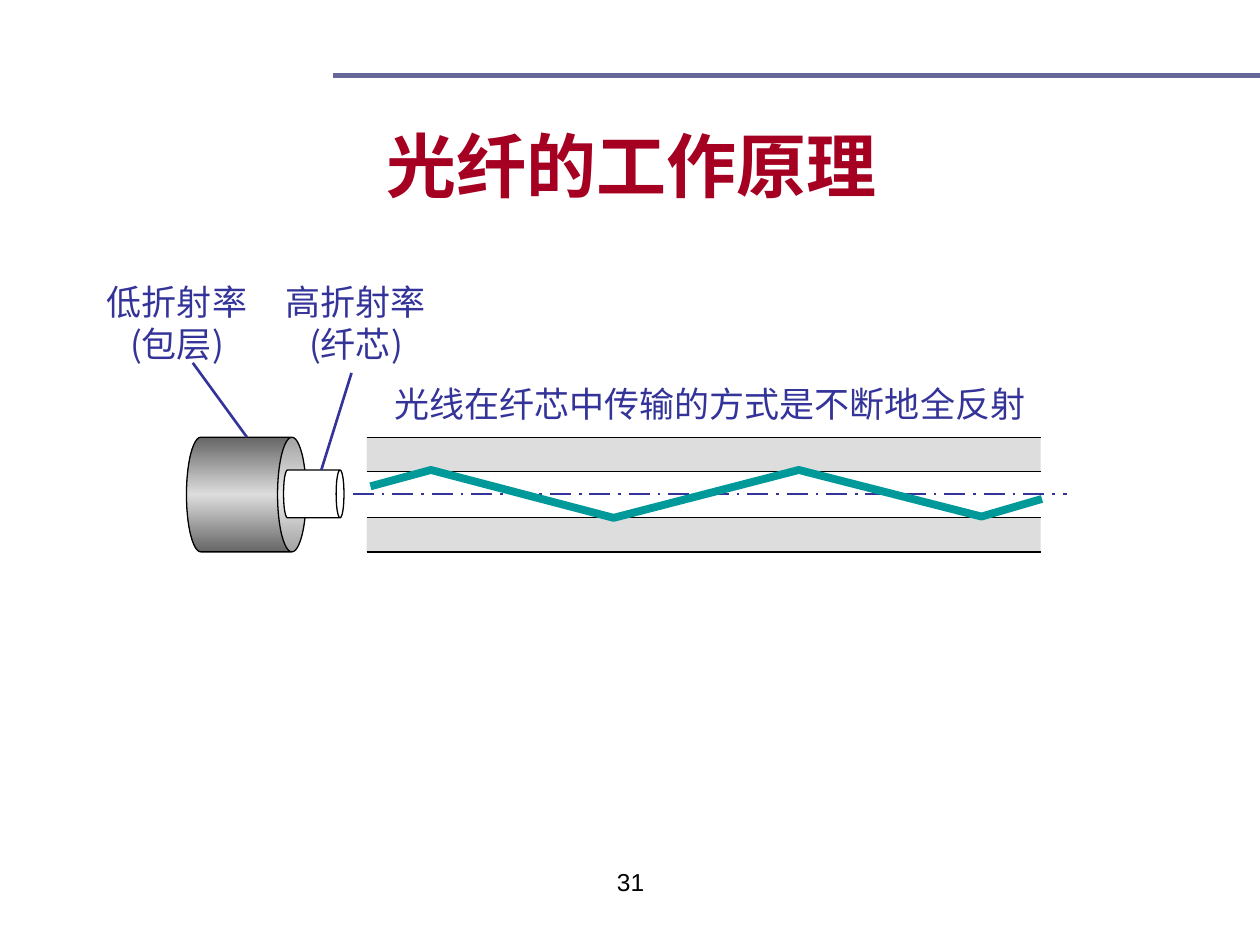
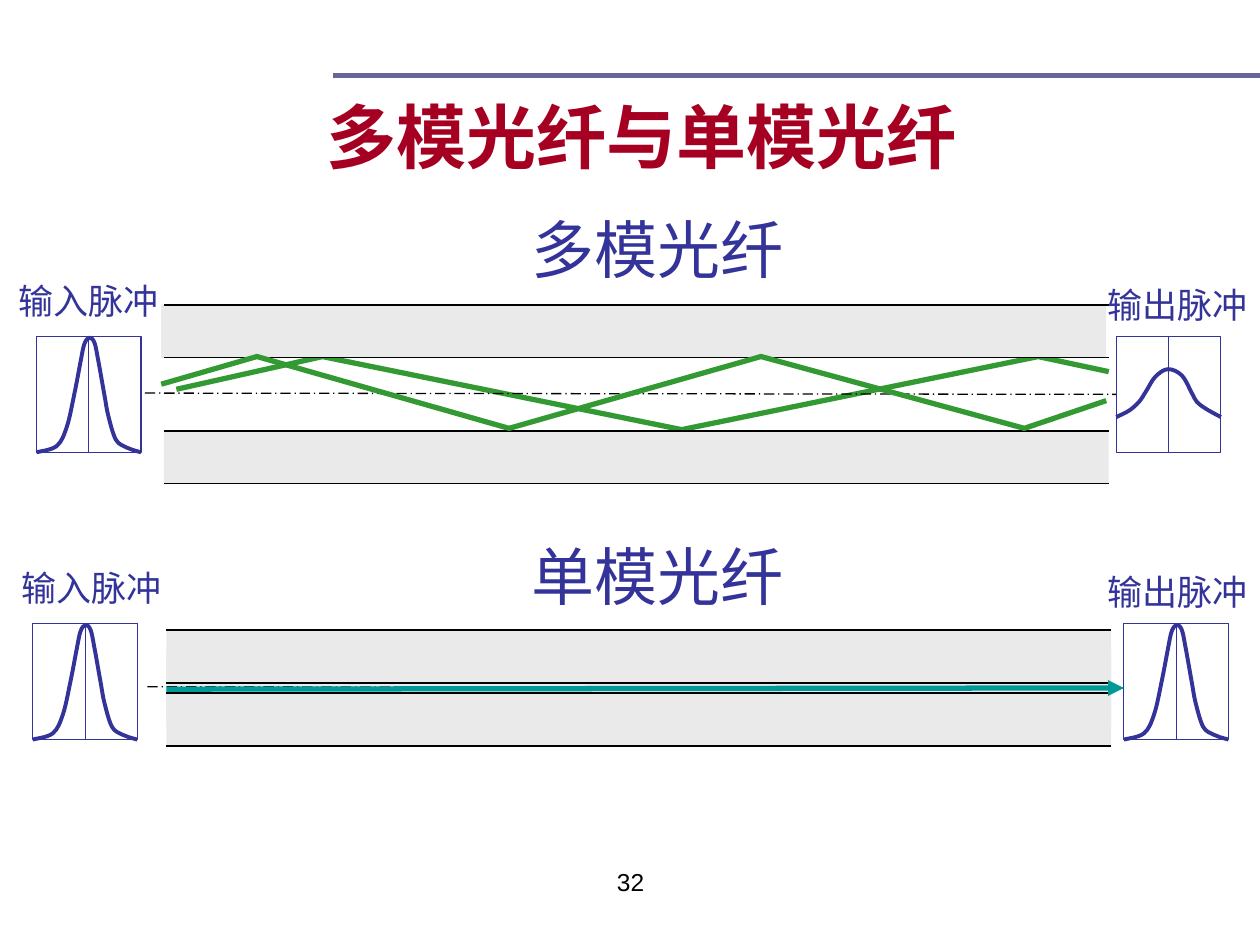
from dataclasses import dataclass

from lxml.etree import SubElement
from pptx import Presentation
from pptx.dml.color import RGBColor
from pptx.enum.dml import MSO_LINE
from pptx.enum.shapes import MSO_CONNECTOR, MSO_SHAPE
from pptx.enum.text import MSO_ANCHOR, MSO_AUTO_SIZE, PP_ALIGN
from pptx.oxml import parse_xml
from pptx.oxml.ns import nsdecls, qn
from pptx.util import Inches, Pt

COLORS = {
    "rule": "666699", "title": "A50021", "ink": "333399", "black": "000000",
    "white": "FFFFFF", "clad": "DDDDDD", "pale": "EAEAEA", "dark": "666666",
    "teal": "009999", "green": "339933",
}
CJK = "Noto Sans CJK SC"
Point = tuple[float, float]
Box = tuple[float, float, float, float]


@dataclass
class Fiber:
    left: float
    width: float
    edges: tuple[float, float, float, float]
    fill: str
    axis: tuple[Point, Point]
    hue: str
    weight: float
    shift: float = 0


@dataclass
class Label:
    text: str
    box: Box
    size: float = 20
    font: str = CJK
    hue: str = "ink"
    align: PP_ALIGN = PP_ALIGN.LEFT
    wrap: bool = False


@dataclass
class Pulse:
    left: float
    top: float
    curve: list[Point]
    border: float


TALL = [(0, 0.92), (0.16, 0.87), (0.24, 0.72), (0.3, 0.46), (0.35, 0.2),
        (0.38, 0.06), (0.42, 0.01), (0.46, 0.05), (0.49, 0.19), (0.54, 0.47),
        (0.57, 0.63), (0.63, 0.82), (0.71, 0.88), (0.76, 0.9), (0.83, 0.92)]
WIDE = [(0, 0.64), (0.1, 0.59), (0.18, 0.52), (0.24, 0.43), (0.31, 0.32),
        (0.41, 0.26), (0.52, 0.31), (0.6, 0.45), (0.64, 0.52), (0.72, 0.58),
        (0.83, 0.64)]
FRAME = (0.83, 0.92)

SINGLE = Fiber(1.32, 7.5, (5, 5.42, 5.5, 5.92), "pale",
               ((1.17, 5.45), (8.94, 5.46)), "black", 0.75)
MULTI = Fiber(1.3, 7.5, (2.42, 2.84, 3.42, 3.84), "pale",
              ((1.15, 3.12), (8.92, 3.13)), "black", 0.75, -0.02)
GUIDE = Fiber(2.91, 5.35, (3.47, 3.74, 4.11, 4.38), "clad",
              ((2.8, 3.92), (8.47, 3.92)), "ink", 1.5)


def color(name: str) -> RGBColor:
    return RGBColor.from_string(COLORS[name])


def write(frame, label: Label, bold: bool = False) -> None:
    frame.text = label.text
    for para in frame.paragraphs:
        para.alignment = label.align
        font = para.font
        font.size, font.name, font.bold = Pt(label.size), label.font, bold
        font.color.rgb = color(label.hue)
        props = para._p.pPr.find(qn("a:defRPr"))
        SubElement(props, qn("a:ea")).set("typeface", CJK)


def add_label(slide, label: Label) -> None:
    frame = slide.shapes.add_textbox(*map(Inches, label.box)).text_frame
    frame.word_wrap = label.wrap
    if not label.wrap:
        frame.auto_size = MSO_AUTO_SIZE.SHAPE_TO_FIT_TEXT
    write(frame, label)


def add_line(slide, start: Point, end: Point, hue: str, weight: float,
             dash: bool = False, arrow: bool = False) -> None:
    line = slide.shapes.add_connector(
        MSO_CONNECTOR.STRAIGHT, *map(Inches, start + end))
    line.line.color.rgb = color(hue)
    line.line.width = Pt(weight)
    if dash:
        line.line.dash_style = MSO_LINE.LONG_DASH_DOT
    if arrow:
        SubElement(line.line._get_or_add_ln(), qn("a:tailEnd")).set("type", "triangle")
    SubElement(line._element.spPr, qn("a:effectLst"))


def add_solid(slide, kind: MSO_SHAPE, box: Box, fill: str,
              hue: str = "", weight: float = 0):
    shape = slide.shapes.add_shape(kind, *map(Inches, box))
    shape.shadow.inherit = False
    shape.fill.solid()
    shape.fill.fore_color.rgb = color(fill)
    if hue:
        shape.line.color.rgb = color(hue)
        shape.line.width = Pt(weight)
    else:
        shape.line.fill.background()
    return shape


def add_ray(slide, points: list[Point], hue: str, weight: float):
    spots = [(Inches(x), Inches(y)) for x, y in points]
    maker = slide.shapes.build_freeform(*spots[0])
    maker.add_line_segments(spots[1:], close=False)
    ray = maker.convert_to_shape()
    ray.shadow.inherit = False
    ray.fill.background()
    ray.line.color.rgb = color(hue)
    ray.line.width = Pt(weight)
    return ray


def smooth(ray) -> None:
    knots = [(int(pt.get("x")), int(pt.get("y")))
             for pt in ray._element.iter(qn("a:pt"))]
    ends = [knots[0], *knots, knots[-1]]
    parts = list(ray._element.iter(qn("a:lnTo")))
    for part, a, b, c, d in zip(parts, ends, ends[1:], ends[2:], ends[3:]):
        near = [q + (r - p) // 6 for p, q, r in zip(a, b, c)]
        far = [r - (s - q) // 6 for q, r, s in zip(b, c, d)]
        spots = "".join(f'<a:pt x="{x}" y="{y}"/>' for x, y in (near, far, c))
        part.getparent().replace(part, parse_xml(
            f'<a:cubicBezTo {nsdecls("a")}>{spots}</a:cubicBezTo>'))


def add_band(slide, left: float, top: float, width: float, low: float,
             fill: str) -> None:
    add_solid(slide, MSO_SHAPE.RECTANGLE, (left, top, width, low - top), fill)


def add_fiber(slide, fiber: Fiber) -> None:
    a, b, c, d = fiber.edges
    add_band(slide, fiber.left + fiber.shift, a, fiber.width, b, fiber.fill)
    add_band(slide, fiber.left, c, fiber.width, d, fiber.fill)
    for edge in fiber.edges:
        add_line(slide, (fiber.left, edge),
                 (fiber.left + fiber.width, edge), "black", 0.75)
    add_line(slide, *fiber.axis, fiber.hue, fiber.weight, dash=True)


def add_pulse(slide, pulse: Pulse) -> None:
    wide, high = FRAME
    add_solid(slide, MSO_SHAPE.RECTANGLE, (pulse.left, pulse.top, wide, high),
              "white", "ink", pulse.border)
    mid = pulse.left + wide / 2
    add_line(slide, (mid, pulse.top), (mid, pulse.top + high), "ink", 0.5)
    smooth(add_ray(slide, [(pulse.left + x, pulse.top + y)
                           for x, y in pulse.curve], "ink", 2.25))


def add_can(slide, box: Box, depth: float):
    can = add_solid(slide, MSO_SHAPE.CAN, box, "white", "black", 0.75)
    can.adjustments[0] = depth
    can.rotation = 90
    return can


def shade(shape) -> None:
    stops = "".join(
        f'<a:gs pos="{spot * 1000}"><a:srgbClr val="{COLORS[name]}"/></a:gs>'
        for spot, name in ((0, "dark"), (50, "clad"), (100, "dark")))
    props = shape._element.spPr
    props.replace(props.find(qn("a:solidFill")), parse_xml(
        f'<a:gradFill {nsdecls("a")} rotWithShape="1"><a:gsLst>{stops}</a:gsLst>'
        '<a:lin ang="0" scaled="0"/></a:gradFill>'))


def start(deck, title: str, box: Box):
    slide = deck.slides.add_slide(deck.slide_layouts[5])
    add_line(slide, (2.64, 0.6), (10, 0.6), "rule", 3)
    head = slide.shapes.title
    head.left, head.top, head.width, head.height = map(Inches, box)
    head.text_frame.vertical_anchor = MSO_ANCHOR.BOTTOM
    write(head.text_frame, Label(title, box, 40, "Arial", "title",
                                 PP_ALIGN.CENTER), bold=True)
    return slide


def add_page(slide, page: str) -> None:
    add_label(slide, Label(page, (3.42, 6.83, 3.17, 0.52), 14, "Arial",
                           "black", PP_ALIGN.CENTER, True))


def draw_theory(deck) -> None:
    slide = start(deck, "光纤的工作原理", (0.51, 0.44, 9, 1.25))
    add_band(slide, 2.91, 3.73, 5.35, 4.11, "white")
    add_fiber(slide, GUIDE)
    shade(add_can(slide, (1.5, 3.45, 0.91, 0.95), 0.25))
    add_can(slide, (2.3, 3.68, 0.38, 0.48), 0.164)
    for text, left, tip, end in (
            ("高折射率\n(纤芯)", 2.17, (2.79, 2.96), (2.55, 3.73)),
            ("低折射率\n(包层)", 0.75, (1.53, 2.88), (1.96, 3.47))):
        add_label(slide, Label(text, (left, 2.18, 1.31, 0.77),
                               align=PP_ALIGN.CENTER))
        add_line(slide, tip, end, "ink", 1.5)
    add_label(slide, Label("光线在纤芯中传输的方式是不断地全反射",
                           (3.03, 2.99, 5.21, 0.44)))
    add_ray(slide, [(2.94, 3.86), (3.42, 3.73), (4.87, 4.11), (6.34, 3.73),
                    (7.79, 4.1), (8.27, 3.96)], "teal", 4.5)
    add_page(slide, "31")


def draw_modes(deck) -> None:
    slide = start(deck, "多模光纤与单模光纤", (0.59, 0.68, 9, 0.78))
    add_band(slide, 1.32, 5.17, 7.5, 5.75, "pale")
    add_fiber(slide, SINGLE)
    add_ray(slide, [(1.4, 3.09), (2.56, 2.83), (5.41, 3.41), (8.24, 2.83),
                    (8.8, 2.95)], "green", 3)
    add_fiber(slide, MULTI)
    for pulse in (Pulse(0.26, 4.95, TALL, 0.5), Pulse(8.92, 4.95, TALL, 0.5),
                  Pulse(0.29, 2.67, TALL, 0.75), Pulse(8.86, 2.67, WIDE, 0.75)):
        add_pulse(slide, pulse)
    for text, left, top in (("输入脉冲", 0.07, 4.45), ("输出脉冲", 8.69, 4.48),
                            ("输入脉冲", 0.05, 2.17), ("输出脉冲", 8.69, 2.2)):
        add_label(slide, Label(text, (left, top, 1.31, 0.44)))
    add_line(slide, (1.32, 5.47), (8.92, 5.46), "teal", 3, arrow=True)
    add_ray(slide, [(1.28, 3.05), (2.04, 2.83), (4.04, 3.4), (6.04, 2.83),
                    (8.13, 3.4), (8.78, 3.18)], "green", 3)
    for text, top in (("单模光纤", 4.22), ("多模光纤", 1.62)):
        add_label(slide, Label(text, (4.12, top, 2.2, 0.7), 36, "Lato"))
    add_page(slide, "32")


def main() -> None:
    deck = Presentation()
    deck.slide_width, deck.slide_height = Inches(10), Inches(7.5)
    draw_theory(deck)
    draw_modes(deck)
    deck.save("out.pptx")


if __name__ == "__main__":
    main()
